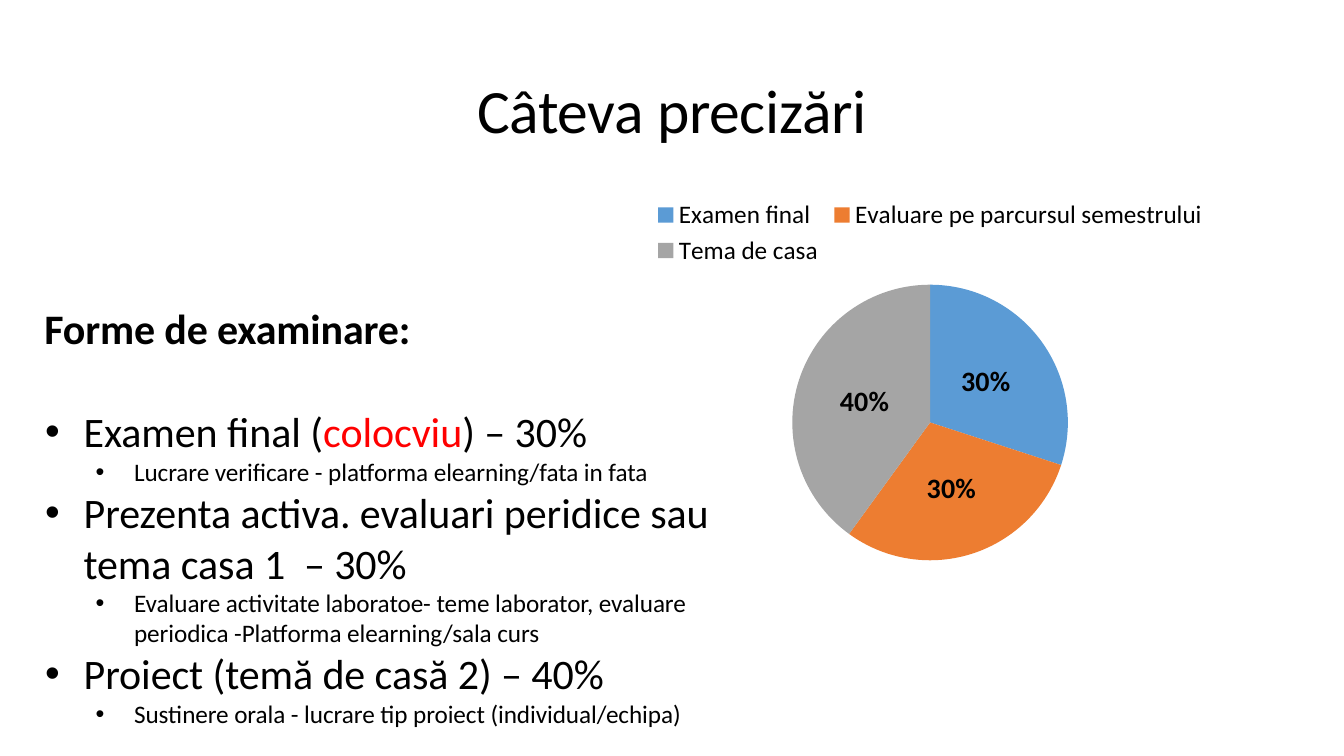
from dataclasses import dataclass

from lxml import etree
from pptx import Presentation
from pptx.chart.data import CategoryChartData
from pptx.dml.color import RGBColor
from pptx.enum.chart import XL_CHART_TYPE, XL_LABEL_POSITION, XL_LEGEND_POSITION
from pptx.enum.text import MSO_ANCHOR, MSO_AUTO_SIZE, PP_ALIGN
from pptx.oxml.ns import qn
from pptx.util import Cm, Pt

PIE = XL_CHART_TYPE.PIE
LEGEND_TOP = XL_LEGEND_POSITION.TOP
LABEL_CENTER = XL_LABEL_POSITION.CENTER
MIDDLE = MSO_ANCHOR.MIDDLE
GROW = MSO_AUTO_SIZE.SHAPE_TO_FIT_TEXT
CENTER = PP_ALIGN.CENTER
LEFT = PP_ALIGN.LEFT


@dataclass(frozen=True)
class Theme:
    font: str = "Calibri"
    black: str = "000000"
    red: str = "FF0000"
    slices: tuple = ("5B9BD5", "ED7D31", "A5A5A5")
    title: int = 44
    body: int = 30
    detail: int = 18
    label: int = 20


THEME = Theme()


def write(para, text, size=THEME.body, color=THEME.black, bold=False, tracking=0):
    span = para.add_run()
    span.text = text
    span.font.name = THEME.font
    span.font.size = Pt(size)
    span.font.bold = bold
    span.font.color.rgb = RGBColor.from_string(color)
    if tracking:
        span.font._element.set("spc", str(tracking))


def add_bullet(para, indent, hanging):
    props = para._p.get_or_add_pPr()
    props.set("marL", str(indent))
    props.set("indent", str(-hanging))
    etree.SubElement(props, qn("a:buFont")).set("typeface", "Arial")
    etree.SubElement(props, qn("a:buChar")).set("char", "•")


deck = Presentation()
deck.slide_width = Cm(33.87)
deck.slide_height = Cm(19.05)
page = deck.slides.add_slide(deck.slide_layouts[5])

title = page.shapes.title
title.left, title.top, title.width, title.height = Cm(2.33), Cm(1.01), Cm(29.21), Cm(3.68)
title.text_frame.vertical_anchor = MIDDLE
title_para = title.text_frame.paragraphs[0]
title_para.alignment = CENTER
title_para.line_spacing = 0.9
write(title_para, "Câteva precizări", size=THEME.title, tracking=-25)

shares = CategoryChartData(number_format="0%")
shares.categories = ["Examen final", "Evaluare pe parcursul semestrului", "Tema de casa"]
shares.add_series("Series 1", (0.3, 0.3, 0.4))
chart = page.shapes.add_chart(PIE, Cm(13.01), Cm(4.72), Cm(20.86), Cm(9.75), shares).chart
chart.has_title = False
chart.font.name = THEME.font
chart.font.size = Pt(10)
chart.font.color.rgb = RGBColor.from_string(THEME.black)
chart.has_legend = True
chart.legend.position = LEGEND_TOP
chart.legend.include_in_layout = False
chart.legend.font.size = Pt(THEME.detail)

plot = chart.plots[0]
plot.vary_by_categories = True
for index, color in enumerate(THEME.slices):
    fill = plot.series[0].points[index].format.fill
    fill.solid()
    fill.fore_color.rgb = RGBColor.from_string(color)

labels = plot.series[0].data_labels
labels.show_value = True
labels.number_format = "0%"
labels.number_format_is_linked = False
labels.position = LABEL_CENTER
labels.font.size = Pt(THEME.label)
labels.font.bold = True

box = page.shapes.add_textbox(Cm(1.12), Cm(7.59), Cm(17.58), Cm(10.85))
frame = box.text_frame
frame.word_wrap = True
frame.auto_size = GROW
frame.margin_left = frame.margin_right = frame.margin_bottom = 0
frame.margin_top = Cm(0.03)
write(frame.paragraphs[0], "Forme de examinare:", bold=True, tracking=-10)

exam_forms = [
    ([("Examen final (", THEME.black), ("colocviu", THEME.red), (") – 30%", THEME.black)],
     "Lucrare verificare - platforma elearning/fata in fata"),
    ([("Prezenta activa. evaluari peridice sau tema casa 1 ", THEME.black),
      (" – 30%", THEME.black)],
     "Evaluare activitate laboratoe- teme laborator, evaluare periodica "
     "-Platforma elearning/sala curs"),
    ([("Proiect (temă de casă 2) – 40%", THEME.black)],
     "Sustinere orala - lucrare tip proiect (individual/echipa)"),
]
for index, (parts, detail) in enumerate(exam_forms):
    para = frame.add_paragraph()
    para.alignment = LEFT
    if index == 0:
        para.space_before = Pt(38)
    add_bullet(para, Cm(0.99), Cm(0.97))
    for text, color in parts:
        write(para, text, color=color, tracking=-5)

    para = frame.add_paragraph()
    para.alignment = LEFT
    para.level = 1
    add_bullet(para, Cm(2.26), Cm(0.97))
    write(para, detail, size=THEME.detail, tracking=-5)

deck.save("out.pptx")
